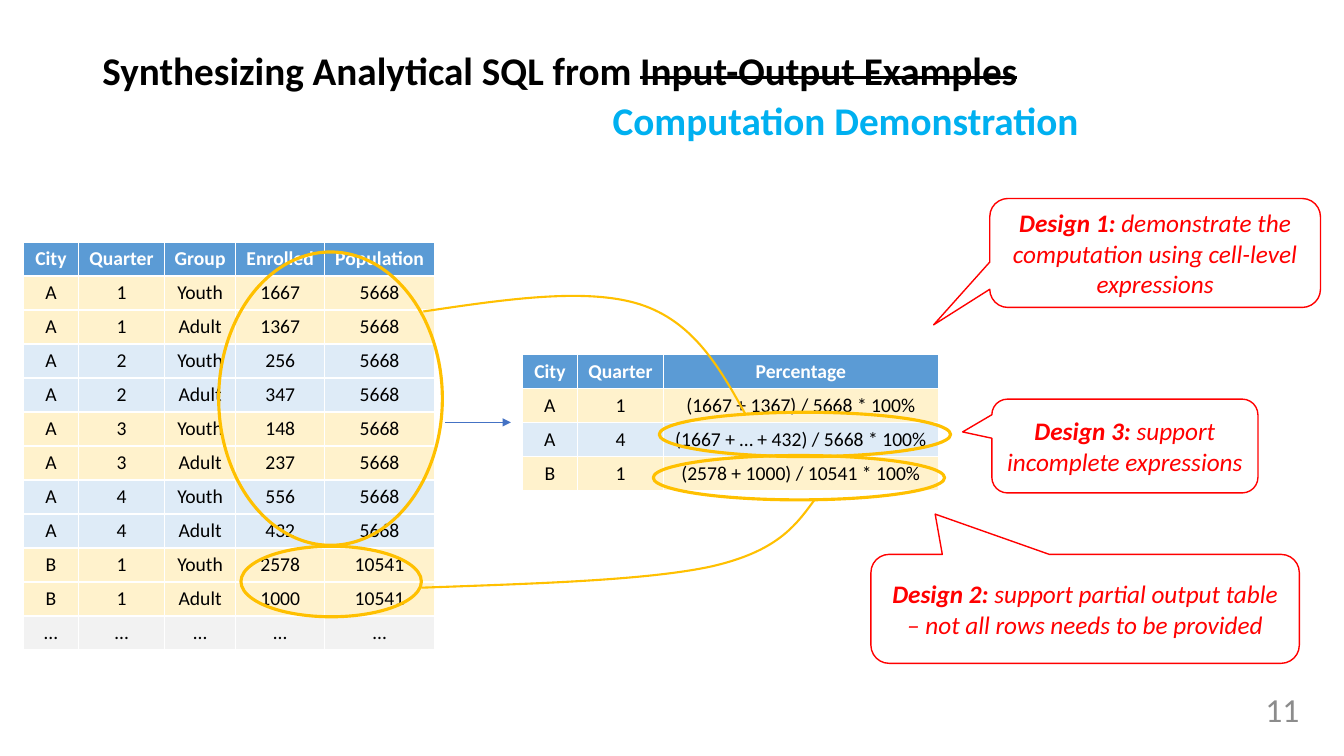
import lxml.etree
import pptx
import pptx.dml.color
import pptx.enum.dml
import pptx.enum.shapes
import pptx.enum.text
import pptx.oxml.ns
import pptx.util

Pt = pptx.util.Pt
RGBColor = pptx.dml.color.RGBColor
SHAPE = pptx.enum.shapes.MSO_SHAPE
ALIGN = pptx.enum.text.PP_ALIGN
MIDDLE = pptx.enum.text.MSO_ANCHOR.MIDDLE
qn = pptx.oxml.ns.qn

BLACK = RGBColor(0x00, 0x00, 0x00)
WHITE = RGBColor(0xFF, 0xFF, 0xFF)
GRAY = RGBColor(0x8C, 0x8C, 0x8C)
CYAN = RGBColor(0x00, 0xB0, 0xF0)
RED = RGBColor(0xFF, 0x00, 0x00)
GOLD = RGBColor(0xFF, 0xC0, 0x00)
ARROW = RGBColor(0x44, 0x72, 0xC4)
HEADER = RGBColor(0x5B, 0x9B, 0xD5)
CREAM = RGBColor(0xFF, 0xF2, 0xCC)
PALE_BLUE = RGBColor(0xDE, 0xEB, 0xF7)
PALE_GRAY = RGBColor(0xF2, 0xF2, 0xF2)
ROW_HEIGHT = 24.3

ENROLLED = [1667, 1367, 256, 347, 148, 237, 556, 432, 2578, 1000]
INPUT_ROWS = [["City", "Quarter", "Group", "Enrolled", "Population"]]
for i, enrolled in enumerate(ENROLLED):
    city, population = ("A", 5668) if i < 8 else ("B", 10541)
    INPUT_ROWS.append([city, i // 2 % 4 + 1, ("Youth", "Adult")[i % 2], enrolled, population])
INPUT_ROWS.append(["…"] * 5)
DEMO_ROWS = [
    ["City", "Quarter", "Percentage"],
    ["A", 1, "(1667 + 1367) / 5668 * 100%"],
    ["A", 4, "(1667 + … + 432) / 5668 * 100%"],
    ["B", 1, "(2578 + 1000) / 10541 * 100%"],
]


def add_text(p, text, size=14, color=BLACK, bold=False, italic=False, strike=False, align=None):
    if align is not None:
        p.alignment = align
    r = p.add_run()
    r.text = text
    r.font.name = "Calibri"
    r.font.size = Pt(size)
    r.font.bold = bold
    r.font.italic = italic
    r.font.color.rgb = color
    if strike:
        r._r.get_or_add_rPr().set("strike", "sngStrike")


def place(sp, box):
    sp.left, sp.top, sp.width, sp.height = map(Pt, box)


def add_title(slide, box):
    sp = slide.shapes.title
    place(sp, box)
    tf = sp.text_frame
    tf.auto_size = pptx.enum.text.MSO_AUTO_SIZE.NONE
    tf.vertical_anchor = MIDDLE
    p = tf.paragraphs[0]
    p.line_spacing = 0.9
    add_text(p, "Synthesizing Analytical SQL from ", size=28, bold=True, align=ALIGN.LEFT)
    add_text(p, "Input-Output Examples", size=28, bold=True, strike=True)


def add_label(slide, box, text, anchor=None, **fmt):
    tf = slide.shapes.add_textbox(*map(Pt, box)).text_frame
    tf.word_wrap = True
    tf.vertical_anchor = anchor
    add_text(tf.paragraphs[0], text, **fmt)


def add_data_table(slide, left, top, widths, rows, band):
    table = slide.shapes.add_table(
        len(rows), len(widths), Pt(left), Pt(top),
        Pt(sum(widths)), Pt(ROW_HEIGHT * len(rows))).table
    for column, width in zip(table.columns, widths):
        column.width = Pt(width)
    for i, row in enumerate(rows):
        table.rows[i].height = Pt(ROW_HEIGHT)
        if i == 0:
            fill = HEADER
        elif row[0] == "…":
            fill = PALE_GRAY
        else:
            fill = (CREAM, PALE_BLUE)[(i - 1) // band % 2]
        for j, value in enumerate(row):
            cell = table.cell(i, j)
            cell.margin_left = cell.margin_right = Pt(3.6)
            cell.fill.solid()
            cell.fill.fore_color.rgb = fill
            add_text(cell.text_frame.paragraphs[0], str(value), bold=i == 0,
                     color=WHITE if i == 0 else BLACK, align=ALIGN.CENTER)


def add_arrow(slide, x1, x2, y):
    line = slide.shapes.add_connector(
        pptx.enum.shapes.MSO_CONNECTOR.STRAIGHT, Pt(x1), Pt(y), Pt(x2), Pt(y))
    line.line.color.rgb = ARROW
    line.line.width = Pt(0.5)
    lxml.etree.SubElement(line.line._get_or_add_ln(), qn("a:tailEnd"), type="triangle")
    lxml.etree.SubElement(line._element.spPr, qn("a:effectLst"))


def outline(sp, color, width):
    sp.shadow.inherit = False
    sp.line.color.rgb = color
    sp.line.width = Pt(width)


def add_callout(slide, box, tip, heading, text):
    sp = slide.shapes.add_shape(SHAPE.ROUNDED_RECTANGULAR_CALLOUT, *map(Pt, box))
    sp.adjustments[0], sp.adjustments[1] = tip
    sp.fill.solid()
    sp.fill.fore_color.rgb = WHITE
    outline(sp, RED, 1)
    tf = sp.text_frame
    tf.word_wrap = True
    tf.vertical_anchor = MIDDLE
    p = tf.paragraphs[0]
    add_text(p, heading, size=18, color=RED, bold=True, italic=True, align=ALIGN.CENTER)
    add_text(p, text, size=18, color=RED, italic=True)


def add_ring(slide, box):
    sp = slide.shapes.add_shape(SHAPE.OVAL, *map(Pt, box))
    sp.fill.background()
    outline(sp, GOLD, 2.25)


def add_curve(slide, points):
    start, *rest = [(Pt(x), Pt(y)) for x, y in points]
    builder = slide.shapes.build_freeform(*start)
    builder.add_line_segments(rest, close=False)
    sp = builder.convert_to_shape()
    segments = list(sp._element.iter(qn("a:lnTo")))
    for i in range(0, len(segments), 3):
        bezier = lxml.etree.Element(qn("a:cubicBezTo"))
        segments[i].addprevious(bezier)
        for segment in segments[i:i + 3]:
            bezier.append(segment[0])
            segment.getparent().remove(segment)
    sp.fill.background()
    outline(sp, GOLD, 1.5)


prs = pptx.Presentation()
prs.slide_width, prs.slide_height = Pt(960), Pt(540)
slide = prs.slides.add_slide(prs.slide_layouts[5])

add_title(slide, (66, 21, 820, 62.6))
add_label(slide, (800.6, 491.8, 134.6, 28.8), "11", anchor=MIDDLE,
          size=24, color=GRAY, align=ALIGN.RIGHT)
add_data_table(slide, 16.6, 172.8, [39.6, 61.2, 51.1, 63.4, 78.5], INPUT_ROWS, band=2)
add_label(slide, (430.6, 65.5, 422.6, 41), "Computation Demonstration",
          size=28, color=CYAN, bold=True)
add_data_table(slide, 373, 253.4, [39.6, 61.2, 196.6], DEMO_ROWS, band=1)
add_arrow(slide, 318.2, 365, 301.7)

add_callout(slide, (707, 141.8, 236.2, 77.8), (-0.67, 0.66), "Design 1:",
            " demonstrate the computation using cell-level expressions")
add_callout(slide, (708.5, 285.1, 190.1, 67), (-0.61, -0.15), "Design 3:",
            " support incomplete expressions")
add_callout(slide, (622.1, 396, 306, 77.8), (-0.35, -0.87), "Design 2:",
            " support partial output table – not all rows needs to be provided")

for box in [(156.2, 180, 159.8, 209.5), (470.9, 294.5, 208.1, 31.7),
            (466.6, 325.4, 208.1, 31.7), (172.1, 390.2, 128.9, 50.4)]:
    add_ring(slide, box)

add_curve(slide, [(301, 419.8), (380.9, 416.9), (461.5, 414.7), (508.3, 404.6),
                  (555.1, 393.8), (568.1, 375.8), (581.8, 357.1)])
add_curve(slide, [(302.4, 222.5), (360.7, 213.8), (419, 205.2), (457.2, 217.4),
                  (495.4, 229.7), (514.1, 262.8), (532.1, 295.2)])

prs.save("out.pptx")
